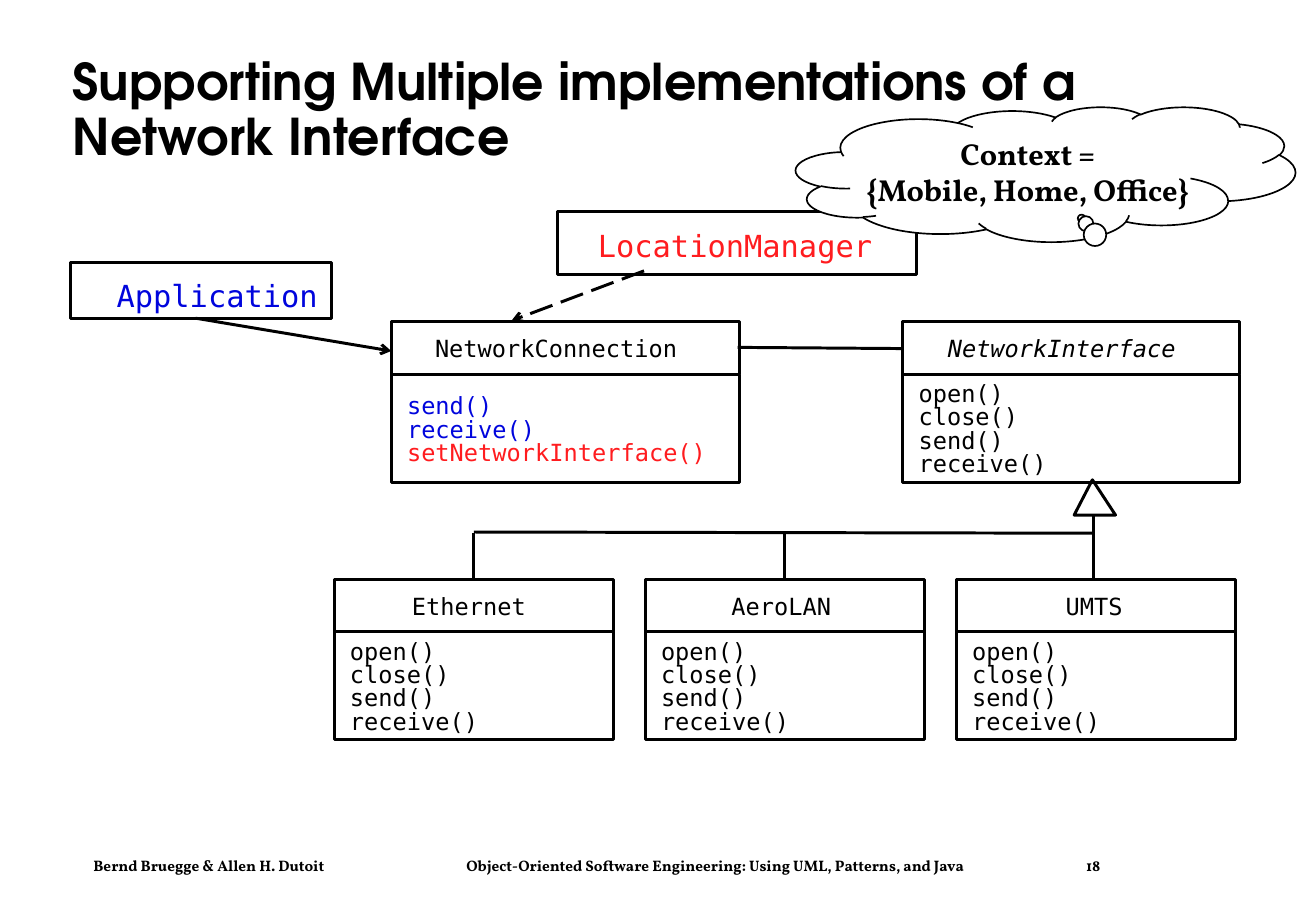
from lxml import etree
from pptx import Presentation
from pptx.dml.color import RGBColor
from pptx.enum import dml, shapes, text
from pptx.oxml import ns
from pptx.util import Inches, Pt

MONO, HEADING, SERIF = "DejaVu Sans Mono", "TeX Gyre Adventor", "Vollkorn"
BLACK, WHITE, BLUE, RED = "000000", "FFFFFF", "0005DD", "FF1C1F"
OPERATIONS = ["open()", "close()", "send()", "receive()"]


def colour(value):
    return RGBColor.from_string(value)


def mono_width(words, size):
    return len(words) * size * 0.6 / 72 + 0.08


def add_span(para, words, font, size, shade=BLACK, bold=False, italic=False):
    span = para.add_run()
    span.text = words
    span.font.name = font
    span.font.size = Pt(size)
    span.font.bold = bold
    span.font.italic = italic
    span.font.color.rgb = colour(shade)


def add_text_box(page, left, top, width, height, margin=True):
    box = page.shapes.add_textbox(Inches(left), Inches(top), Inches(width), Inches(height))
    frame = box.text_frame
    frame.word_wrap = True
    if not margin:
        frame.margin_left = frame.margin_right = 0
        frame.margin_top = frame.margin_bottom = 0
    return frame


def add_label(page, left, top, words, size=14, shade=BLACK, italic=False):
    frame = add_text_box(page, left, top, mono_width(words, size), size / 60, margin=False)
    add_span(frame.paragraphs[0], words, MONO, size, shade, italic=italic)


def add_members(page, left, top, members):
    width = max(mono_width(words, 14) for words, shade in members)
    frame = add_text_box(page, left, top, width, 0.193 * len(members), margin=False)
    for index, (words, shade) in enumerate(members):
        para = frame.paragraphs[0] if index == 0 else frame.add_paragraph()
        para.line_spacing = Pt(13.9)
        add_span(para, words, MONO, 14, shade)


def add_outline(shape, weight=1.75):
    shape.shadow.inherit = False
    shape.line.color.rgb = colour(BLACK)
    shape.line.width = Pt(weight)


def add_frame(page, left, top, width, height):
    frame = page.shapes.add_shape(
        shapes.MSO_SHAPE.RECTANGLE, Inches(left), Inches(top), Inches(width), Inches(height))
    frame.fill.background()
    add_outline(frame)


def add_class(page, left, top, width, name, name_left, members, members_drop=0.51, italic=False):
    add_frame(page, left, top, width, 0.43)
    add_frame(page, left, top + 0.43, width, 0.89)
    add_label(page, name_left, top + 0.1, name, italic=italic)
    add_members(page, left + 0.13, top + members_drop, members)


def add_line(page, start, end, arrow=False, dashed=False):
    line = page.shapes.add_connector(
        shapes.MSO_CONNECTOR.STRAIGHT, *(Inches(value) for value in (*start, *end)))
    line.line.color.rgb = colour(BLACK)
    line.line.width = Pt(1.75)
    if dashed:
        line.line.dash_style = dml.MSO_LINE.LONG_DASH
    if arrow:
        etree.SubElement(line.line._get_or_add_ln(), ns.qn("a:tailEnd"), type="arrow")
    etree.SubElement(line._element.spPr, ns.qn("a:effectLst"))


def add_triangle(page, points):
    corners = [(Inches(x), Inches(y)) for x, y in points]
    builder = page.shapes.build_freeform(*corners[0], scale=1.0)
    builder.add_line_segments(corners[1:], close=True)
    triangle = builder.convert_to_shape()
    triangle.fill.background()
    add_outline(triangle)


def add_cloud(page, lines):
    cloud = page.shapes.add_shape(
        shapes.MSO_SHAPE.CLOUD_CALLOUT, Inches(6.55), Inches(0.88), Inches(4.11), Inches(1.11))
    cloud.adjustments[0] = 0.072
    cloud.adjustments[1] = 0.327
    cloud.fill.solid()
    cloud.fill.fore_color.rgb = colour(WHITE)
    add_outline(cloud, 1)
    frame = cloud.text_frame
    frame.word_wrap = False
    frame.vertical_anchor = text.MSO_ANCHOR.MIDDLE
    for index, words in enumerate(lines):
        para = frame.paragraphs[0] if index == 0 else frame.add_paragraph()
        para.alignment = text.PP_ALIGN.CENTER
        add_span(para, words, SERIF, 18, bold=True)


def add_title(page, words):
    frame = add_text_box(page, 0.5, 0.45, 9.66, 0.94)
    frame.vertical_anchor = text.MSO_ANCHOR.MIDDLE
    para = frame.paragraphs[0]
    para.line_spacing = 0.9
    add_span(para, words, HEADING, 30, bold=True)


def add_footer(page, parts, stops):
    para = add_text_box(page, 0.67, 7, 9.17, 0.25).paragraphs[0]
    tabs = etree.SubElement(para._p.get_or_add_pPr(), ns.qn("a:tabLst"))
    for stop in stops:
        etree.SubElement(tabs, ns.qn("a:tab"), pos=str(Inches(stop)), algn="l")
    add_span(para, "\t".join(parts), SERIF, 9, bold=True)


def add_subclasses(page):
    members = [(operation, BLACK) for operation in OPERATIONS]
    names = [("Ethernet", 3.39), ("AeroLAN", 6.02), ("UMTS", 8.77)]
    for index, (name, name_left) in enumerate(names):
        add_class(page, 2.75 + 2.56 * index, 4.77, 2.3, name, name_left, members)
    add_triangle(page, [(8.84, 4.24), (8.99, 3.95), (9.18, 4.24)])
    for x, top in [(3.9, 4.39), (6.46, 4.39), (9, 4.24)]:
        add_line(page, (x, 4.77), (x, top))
    add_line(page, (3.9, 4.38), (9, 4.39))


def main():
    deck = Presentation()
    deck.slide_width, deck.slide_height = Inches(10.83), Inches(7.5)
    page = deck.slides.add_slide(deck.slide_layouts[6])

    add_footer(page, ["Bernd Bruegge & Allen H. Dutoit",
                      "Object-Oriented Software Engineering: Using UML, Patterns, and Java",
                      "18"], [3.07, 8.17])
    add_title(page, "Supporting Multiple implementations of a Network Interface")

    add_class(page, 7.43, 2.65, 2.77, "NetworkInterface", 7.8,
              [(operation, BLACK) for operation in OPERATIONS], italic=True)
    add_class(page, 3.22, 2.65, 2.87, "NetworkConnection", 3.58,
              [("send()", BLUE), ("receive()", BLUE), ("setNetworkInterface()", RED)],
              members_drop=0.61)
    add_line(page, (6.07, 2.86), (7.43, 2.87))

    add_frame(page, 0.58, 2.16, 2.15, 0.46)
    add_label(page, 0.96, 2.28, "Application", 18, BLUE)
    add_line(page, (1.61, 2.62), (3.22, 2.89), arrow=True)

    add_subclasses(page)

    add_frame(page, 4.59, 1.74, 2.95, 0.52)
    add_label(page, 4.92, 1.87, "LocationManager", 18, RED)
    add_line(page, (5.3, 2.23), (4.21, 2.64), arrow=True, dashed=True)
    add_cloud(page, ["Context =", "{Mobile, Home, Office}"])

    deck.save("out.pptx")


if __name__ == "__main__":
    main()
